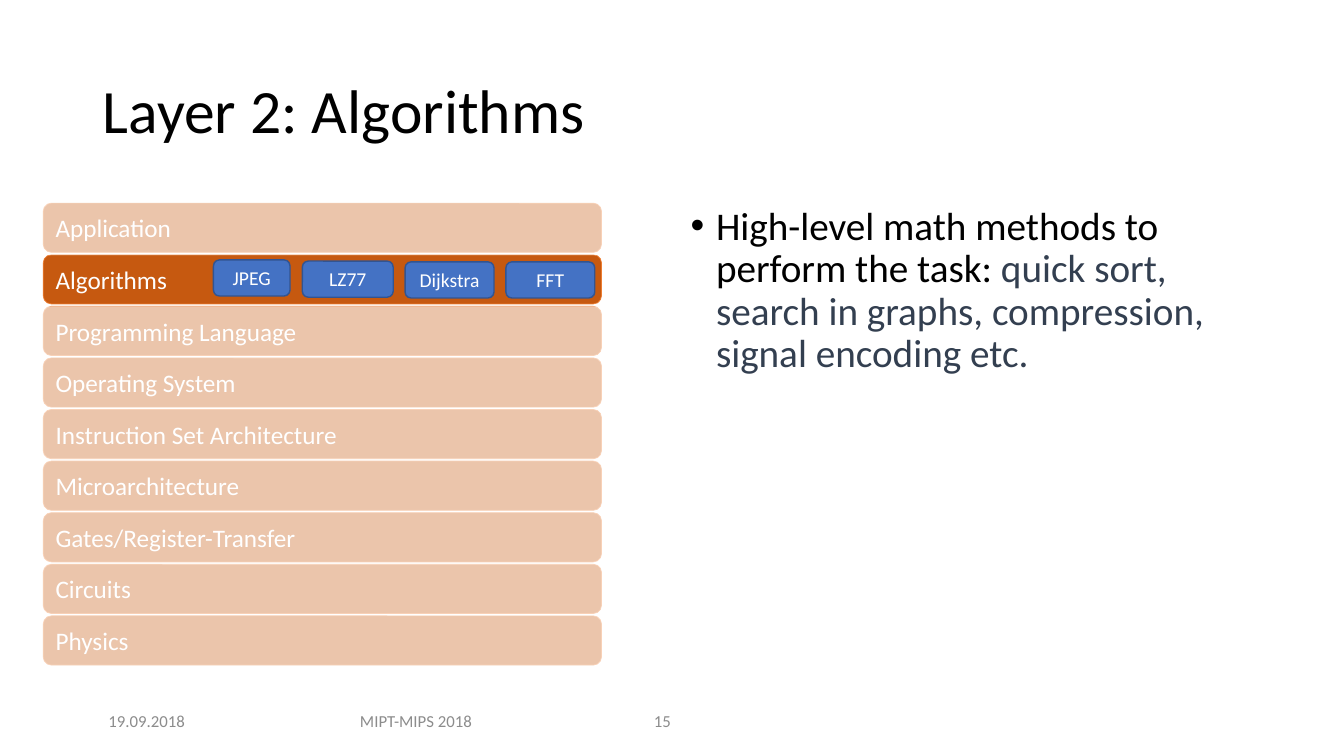
from dataclasses import dataclass

from lxml import etree
from pptx import Presentation
from pptx.dml.color import RGBColor
from pptx.enum.shapes import MSO_SHAPE
from pptx.enum.text import MSO_ANCHOR, MSO_AUTO_SIZE, PP_ALIGN
from pptx.oxml.ns import qn
from pptx.shapes.autoshape import Shape
from pptx.slide import Slide
from pptx.text.text import Font
from pptx.util import Cm, Pt

RECT, ROUND = MSO_SHAPE.RECTANGLE, MSO_SHAPE.ROUNDED_RECTANGLE
TOP, MIDDLE = MSO_ANCHOR.TOP, MSO_ANCHOR.MIDDLE
LEFT, CENTER = PP_ALIGN.LEFT, PP_ALIGN.CENTER
NO_FIT = MSO_AUTO_SIZE.NONE


@dataclass(frozen=True)
class Theme:
    face: str = "Calibri"
    ink: str = "000000"
    slate: str = "333F50"
    gray: str = "8C8C8C"
    white: str = "FFFFFF"
    layer: str = "C65910"
    layer_edge: str = "ED7D31"
    chip: str = "4472C4"
    chip_edge: str = "325491"
    title_size: int = 44
    body_size: int = 28
    layer_size: int = 18
    chip_size: int = 14
    foot_size: int = 12


@dataclass(frozen=True)
class Box:
    """A place on the slide, in centimetres."""
    left: float
    top: float
    width: float
    height: float


@dataclass(frozen=True)
class Label:
    text: str
    box: Box
    align: PP_ALIGN = CENTER


@dataclass(frozen=True)
class Style:
    fill: str
    edge: str
    weight: float
    size: int
    inset: float


THEME = Theme()
LAYER = Style(THEME.layer, THEME.layer_edge, 0.5, THEME.layer_size, 0.25)
CHIP = Style(THEME.chip, THEME.chip_edge, 1, THEME.chip_size, 0)

NAMES = ["Application", "Algorithms", "Programming Language",
         "Operating System", "Instruction Set Architecture",
         "Microarchitecture", "Gates/Register-Transfer", "Circuits", "Physics"]
FIRST_TOP, PITCH = 5.12, 1.3
LAYERS = [Label(name, Box(1.09, FIRST_TOP + i * PITCH, 14.07, 1.24), LEFT)
          for i, name in enumerate(NAMES)]
VEILS = [Box(0, 7.72, 15.65, 9.4), Box(0.74, 4.93, 15.65, 1.5)]
CHIPS = [Label("JPEG", Box(5.38, 6.55, 1.93, 0.91)),
         Label("LZ77", Box(7.62, 6.58, 2.29, 0.91)),
         Label("Dijkstra", Box(10.21, 6.6, 2.24, 0.91)),
         Label("FFT", Box(12.75, 6.6, 2.24, 0.91))]
FOOTERS = [Label("19.09.2018", Box(2.34, 17.65, 2.72, 1.02)),
           Label("MIPT-MIPS 2018", Box(8.48, 17.65, 4.01, 1.02)),
           Label("15", Box(16.23, 17.65, 2.01, 1.02), LEFT)]


def span(box: Box) -> tuple[Cm, Cm, Cm, Cm]:
    return Cm(box.left), Cm(box.top), Cm(box.width), Cm(box.height)


def set_font(font: Font, size: int, color: str) -> None:
    font.name, font.size = THEME.face, Pt(size)
    font.color.rgb = RGBColor.from_string(color)


def write(shape: Shape, label: Label, size: int, color: str) -> None:
    frame = shape.text_frame
    frame.word_wrap = True
    frame.vertical_anchor = MIDDLE
    line = frame.paragraphs[0]
    line.text, line.alignment = label.text, label.align
    set_font(line.font, size, color)


def add_block(slide: Slide, kind: MSO_SHAPE, box: Box, fill: str) -> Shape:
    shape = slide.shapes.add_shape(kind, *span(box))
    shape.shadow.inherit = False
    shape.fill.solid()
    shape.fill.fore_color.rgb = RGBColor.from_string(fill)
    return shape


def add_bar(slide: Slide, label: Label, style: Style) -> None:
    shape = add_block(slide, ROUND, label.box, style.fill)
    shape.line.color.rgb = RGBColor.from_string(style.edge)
    shape.line.width = Pt(style.weight)
    frame = shape.text_frame
    frame.margin_left = frame.margin_right = Cm(style.inset)
    write(shape, label, style.size, THEME.white)


def add_veil(slide: Slide, box: Box) -> None:
    """Fade what lies below with a part-clear white sheet."""
    shape = add_block(slide, RECT, box, THEME.white)
    shape.line.fill.background()
    color = shape.fill._xPr.find(qn("a:solidFill"))[0]
    etree.SubElement(color, qn("a:alpha")).set("val", "65000")


def place(shape: Shape, box: Box) -> None:
    shape.left, shape.top, shape.width, shape.height = span(box)
    shape.text_frame.auto_size = NO_FIT


def fill_title(slide: Slide) -> None:
    title = slide.shapes.title
    label = Label("Layer 2: Algorithms", Box(2.34, 1.02, 29.21, 3.68), LEFT)
    place(title, label.box)
    write(title, label, THEME.title_size, THEME.ink)
    title.text_frame.paragraphs[0].line_spacing = 0.9


def fill_body(slide: Slide) -> None:
    body = slide.placeholders[1]
    place(body, Box(17.15, 5.08, 14.4, 12.09))
    frame = body.text_frame
    frame.word_wrap, frame.vertical_anchor = True, TOP
    item = frame.paragraphs[0]
    item.alignment, item.line_spacing = LEFT, 0.9
    item.space_before = Pt(0)
    props = item._p.get_or_add_pPr()
    props.set("marL", str(Cm(0.64)))
    props.set("indent", str(-Cm(0.64)))
    etree.SubElement(props, qn("a:buFont")).set("typeface", "Arial")
    etree.SubElement(props, qn("a:buChar")).set("char", "•")
    parts = [("High-level math methods to perform the task: ", THEME.ink),
             ("quick sort, search in graphs, compression, "
              "signal encoding etc.", THEME.slate)]
    for text, color in parts:
        run = item.add_run()
        run.text = text
        set_font(run.font, THEME.body_size, color)


def main() -> None:
    deck = Presentation()
    deck.slide_width, deck.slide_height = Cm(33.87), Cm(19.05)
    slide = deck.slides.add_slide(deck.slide_layouts[1])
    fill_title(slide)
    fill_body(slide)
    for foot in FOOTERS:
        shape = slide.shapes.add_textbox(*span(foot.box))
        write(shape, foot, THEME.foot_size, THEME.gray)
    for layer in LAYERS:
        add_bar(slide, layer, LAYER)
    for veil in VEILS:
        add_veil(slide, veil)
    for chip in CHIPS:
        add_bar(slide, chip, CHIP)
    deck.save("out.pptx")


if __name__ == "__main__":
    main()
